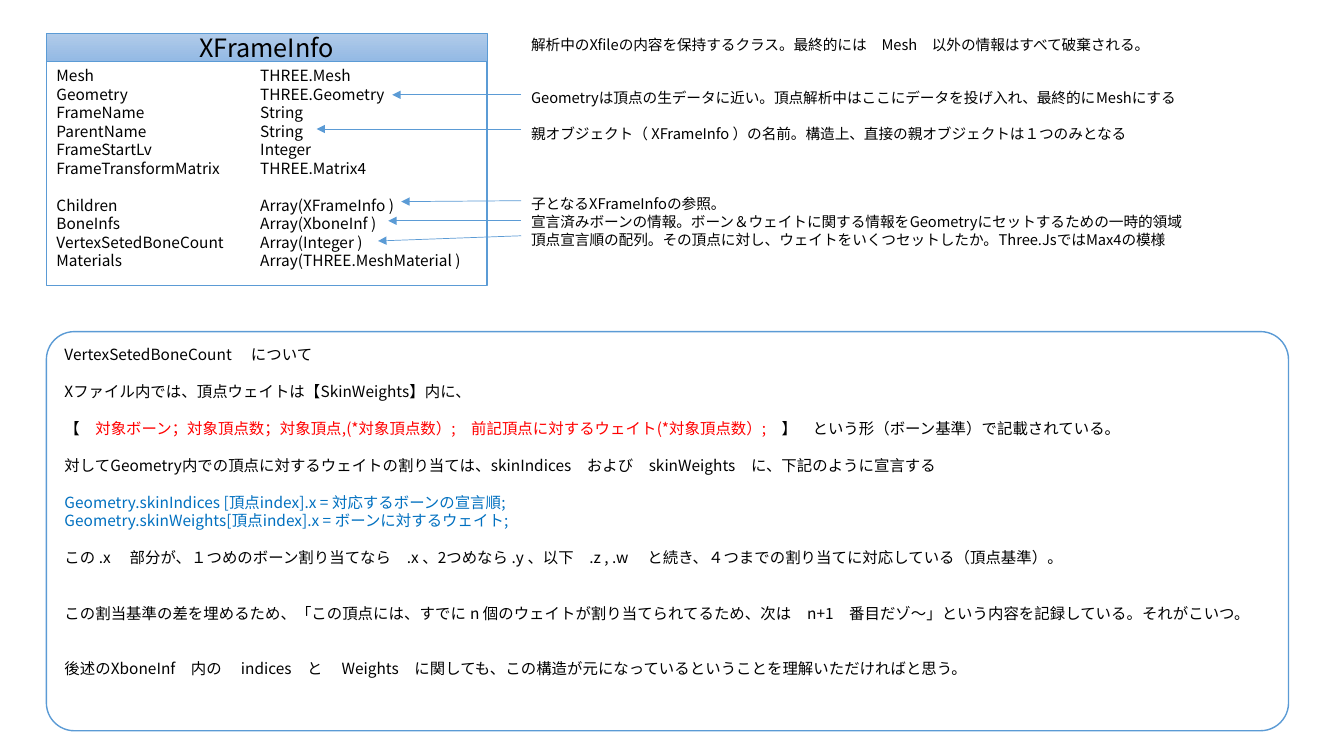
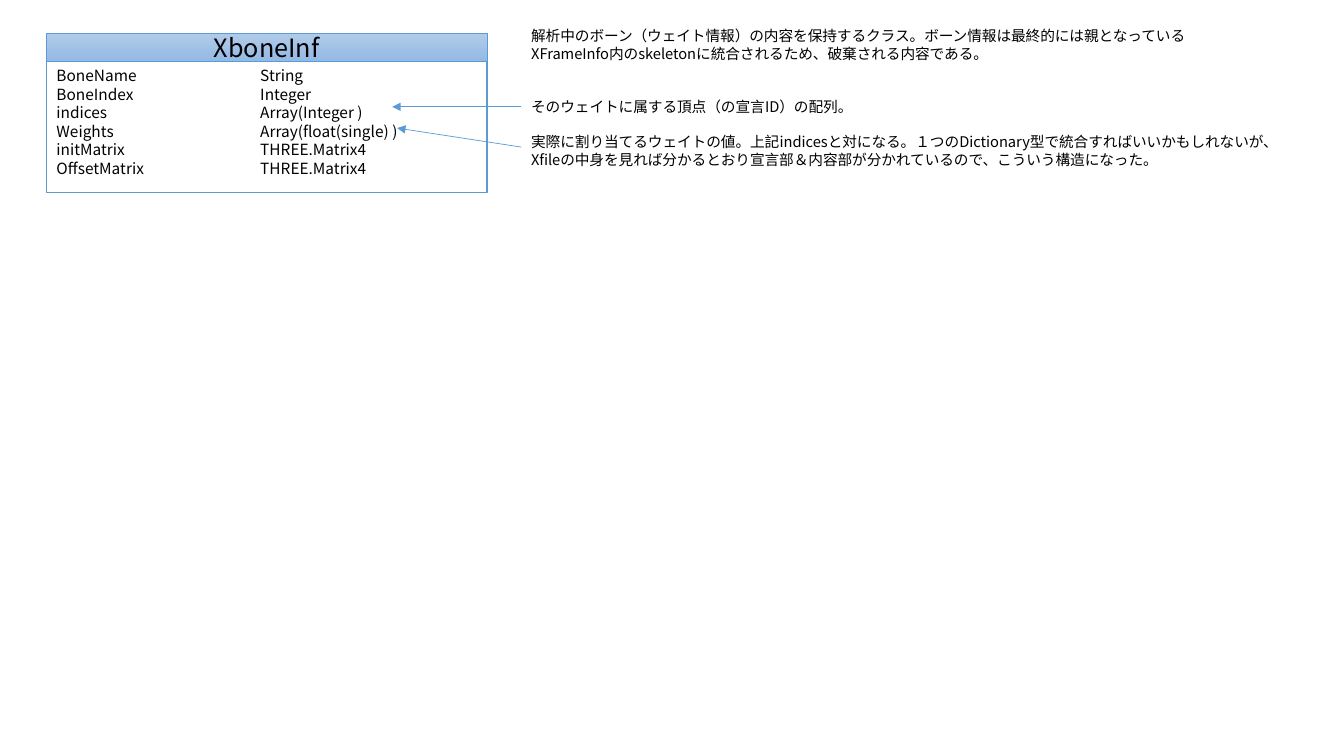
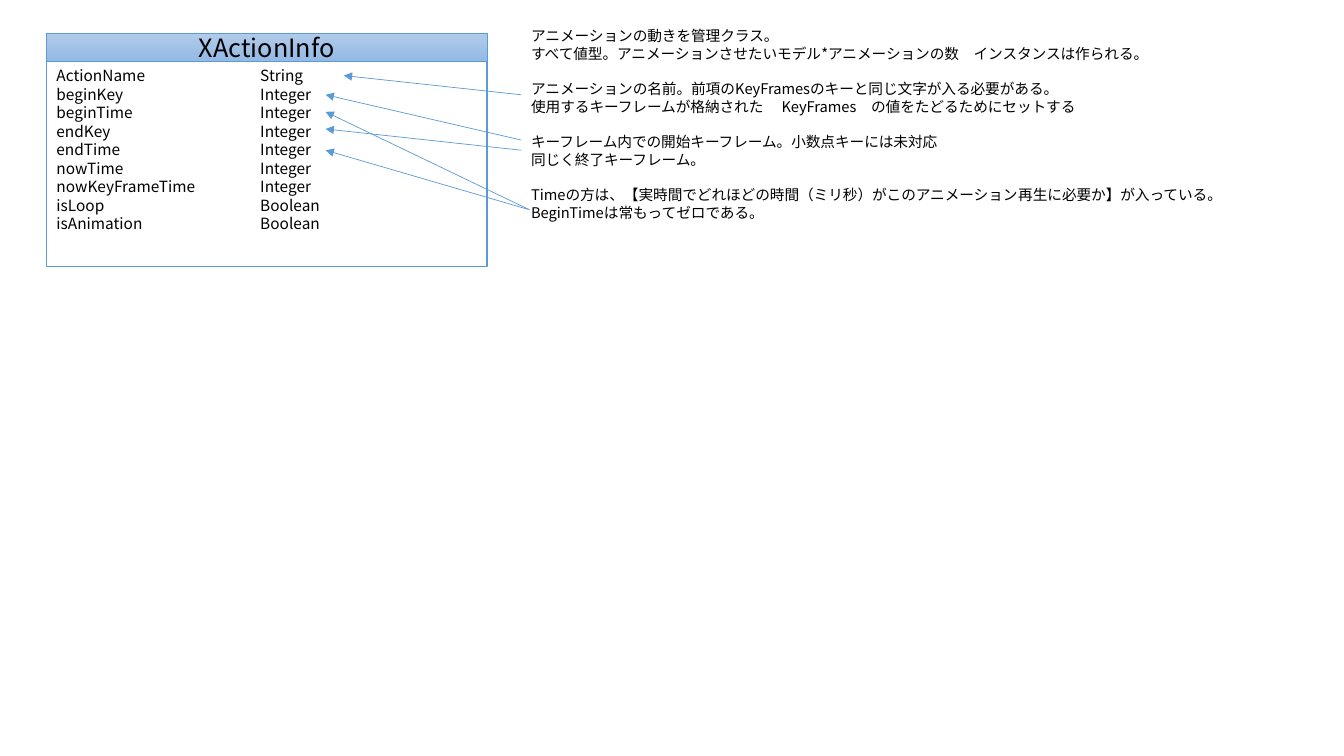
from pptx import Presentation
from pptx.dml.color import RGBColor
from pptx.enum.shapes import MSO_CONNECTOR, MSO_SHAPE
from pptx.enum.text import MSO_ANCHOR, MSO_AUTO_SIZE, PP_ALIGN
from pptx.oxml.ns import qn
from pptx.util import Inches, Pt
from lxml import etree

LEFT, CENTER = PP_ALIGN.LEFT, PP_ALIGN.CENTER
TOP, MIDDLE = MSO_ANCHOR.TOP, MSO_ANCHOR.MIDDLE
NO_AUTOFIT = MSO_AUTO_SIZE.NONE
STRAIGHT = MSO_CONNECTOR.STRAIGHT
ROUNDED = MSO_SHAPE.ROUNDED_RECTANGLE
TWO_CONTENT = 3

COLORS = {
    "text": "000000",
    "paper": "FFFFFF",
    "line": "5B9BD5",
    "band_top": "B1CBE9",
    "band_bottom": "93B9E4",
    "format": "FF0000",
    "code": "0070C0",
}
FONT = "Noto Sans CJK JP"
TITLE_SIZE, LIST_SIZE, NOTE_SIZE = 18, 11, 10.5
LINE_HEIGHT = 1.2

# Grid of the class box, in inches: text rows and 24 columns
BOX_LEFT, BOX_TOP, BOX_WIDTH = 0.46, 0.33, 4.37
BAND_HEIGHT = 0.28
INSET = 0.05
COLUMN = BOX_WIDTH / 24
ROW = LIST_SIZE * LINE_HEIGHT / 72
LIST_TOP = BOX_TOP + BAND_HEIGHT
TYPE_LEFT = BOX_LEFT + 11.1 * COLUMN
NOTE_LEFT, NOTE_WIDTH = 5.17, 8
NOTE_COLUMN = (NOTE_LEFT - BOX_LEFT) / COLUMN


def rgb(name):
    return RGBColor.from_string(COLORS[name])


def place(shape, left, top, width, height):
    shape.left, shape.top = Inches(left), Inches(top)
    shape.width, shape.height = Inches(width), Inches(height)


def outline(shape, width):
    shape.line.color.rgb = rgb("line")
    shape.line.width = Pt(width)


def fill_paper(shape):
    shape.fill.solid()
    shape.fill.fore_color.rgb = rgb("paper")


def write(shape, paragraphs, size, align=LEFT, anchor=TOP):
    """Each paragraph is a text, or (empty lines above, text or runs)."""
    frame = shape.text_frame
    frame.word_wrap = True
    frame.auto_size = NO_AUTOFIT
    frame.vertical_anchor = anchor
    for index, entry in enumerate(paragraphs):
        gap, content = (0, entry) if isinstance(entry, str) else entry
        runs = [(content, "text")] if isinstance(content, str) else content
        paragraph = frame.paragraphs[0] if index == 0 else frame.add_paragraph()
        paragraph.alignment = align
        paragraph.line_spacing = Pt(size * LINE_HEIGHT)
        paragraph.space_before = Pt(gap * size * LINE_HEIGHT)
        paragraph.space_after = Pt(0)
        properties = paragraph._p.get_or_add_pPr()
        properties.set("marL", "0")
        properties.set("indent", "0")
        etree.SubElement(properties, qn("a:buNone"))
        for text, color in runs:
            run = paragraph.add_run()
            run.text = text
            run.font.size = Pt(size)
            run.font.name = FONT
            run.font.color.rgb = rgb(color)
            east_asian = etree.SubElement(run._r.get_or_add_rPr(), qn("a:ea"))
            east_asian.set("typeface", FONT)


def add_class_box(slide, name, fields, rows):
    band, names, types = slide.placeholders
    # Name band
    place(band, BOX_LEFT, BOX_TOP, BOX_WIDTH, BAND_HEIGHT)
    band.fill.gradient()
    band.fill.gradient_angle = 270
    for stop, color in zip(band.fill.gradient_stops, ("band_top", "band_bottom")):
        stop.color.rgb = rgb(color)
    outline(band, 0.5)
    write(band, [name], TITLE_SIZE, CENTER, MIDDLE)
    # Field names and their types
    height = rows * ROW + 0.02
    place(names, BOX_LEFT, LIST_TOP, BOX_WIDTH, height)
    fill_paper(names)
    outline(names, 1)
    place(types, TYPE_LEFT, LIST_TOP, 13.35 * COLUMN, height)
    write(names, [(gap, field) for gap, field, _ in fields], LIST_SIZE)
    write(types, [(gap, kind) for gap, _, kind in fields], LIST_SIZE)


def add_notes(slide, top, height, paragraphs):
    notes = slide.shapes.add_textbox(
        Inches(NOTE_LEFT), Inches(top), Inches(NOTE_WIDTH), Inches(height))
    write(notes, paragraphs, NOTE_SIZE)


def add_arrow(slide, start, end):
    """Start and end are (column, row) in the grid of the class box."""
    points = [Inches(length) for column, row in (start, end)
              for length in (BOX_LEFT + column * COLUMN,
                             LIST_TOP + INSET + row * ROW)]
    arrow = slide.shapes.add_connector(STRAIGHT, *points)
    outline(arrow, 0.5)
    etree.SubElement(arrow.line._get_or_add_ln(), qn("a:tailEnd")).set("type", "triangle")
    etree.SubElement(arrow._element.spPr, qn("a:effectLst"))


def add_panel(slide, left, top, width, height, paragraphs):
    panel = slide.shapes.add_shape(
        ROUNDED, Inches(left), Inches(top), Inches(width), Inches(height))
    panel.adjustments[0] = 0.07
    panel.shadow.inherit = False
    fill_paper(panel)
    outline(panel, 1)
    write(panel, paragraphs, LIST_SIZE)


def add_class_slide(presentation, content):
    slide = presentation.slides.add_slide(presentation.slide_layouts[TWO_CONTENT])
    add_class_box(slide, content["name"], content["fields"], content["rows"])
    add_notes(slide, *content["notes"])
    for start, end in content["arrows"]:
        add_arrow(slide, start, end)
    return slide


# Fields are (empty lines above, name, type)
FRAME_INFO = {
    "name": "XFrameInfo",
    "rows": 12,
    "fields": [
        (0, "Mesh", "THREE.Mesh"),
        (0, "Geometry", "THREE.Geometry"),
        (0, "FrameName", "String"),
        (0, "ParentName", "String"),
        (0, "FrameStartLv", "Integer"),
        (0, "FrameTransformMatrix", "THREE.Matrix4"),
        (1, "Children", "Array(XFrameInfo )"),
        (0, "BoneInfs", "Array(XboneInf )"),
        (0, "VertexSetedBoneCount", "Array(Integer )"),
        (0, "Materials", "Array(THREE.MeshMaterial )"),
    ],
    "notes": (0.31, 2.22, [
        "解析中のXfileの内容を保持するクラス。最終的には　Mesh　以外の情報はすべて破棄される。",
        (2, "Geometryは頂点の生データに近い。頂点解析中はここにデータを投げ入れ、最終的にMeshにする"),
        (1, "親オブジェクト（ XFrameInfo ）の名前。構造上、直接の親オブジェクトは１つのみとなる"),
        (3, "子となるXFrameInfoの参照。"),
        "宣言済みボーンの情報。ボーン＆ウェイトに関する情報をGeometryにセットするための一時的領域",
        "頂点宣言順の配列。その頂点に対し、ウェイトをいくつセットしたか。Three.JsではMax4の模様",
    ]),
    "arrows": [
        ((NOTE_COLUMN, 1.53), (18.84, 1.53)),
        ((NOTE_COLUMN, 3.38), (14.72, 3.38)),
        ((NOTE_COLUMN, 7.26), (19.33, 7.31)),
        ((NOTE_COLUMN, 8.35), (18.62, 8.35)),
        ((NOTE_COLUMN, 9.16), (18.07, 9.44)),
    ],
}

BONE_COUNT = [
    "VertexSetedBoneCount 　について",
    (1, "Xファイル内では、頂点ウェイトは【SkinWeights】内に、"),
    (1, [
        ("【　", "text"),
        ("対象ボーン；対象頂点数；対象頂点,(*対象頂点数）;　前記頂点に対するウェイト(*対象頂点数）;　", "format"),
        ("】　という形（ボーン基準）で記載されている。", "text"),
    ]),
    (1, "対してGeometry内での頂点に対するウェイトの割り当ては、skinIndices　および　skinWeights　に、下記のように宣言する"),
    (1, [("Geometry.skinIndices [頂点index].x = 対応するボーンの宣言順;", "code")]),
    (0, [("Geometry.skinWeights[頂点index].x = ボーンに対するウェイト;", "code")]),
    (1, "この .x 　部分が、１つめのボーン割り当てなら　.x 、2つめなら .y 、以下　.z , .w 　と続き、４つまでの割り当てに対応している（頂点基準）。"),
    (2, "この割当基準の差を埋めるため、「この頂点には、すでに n 個のウェイトが割り当てられてるため、次は　n+1　番目だゾ～」という内容を記録している。それがこいつ。"),
    (2, "後述のXboneInf　内の　 indices　と　 Weights　に関しても、この構造が元になっているということを理解いただければと思う。"),
]

BONE_INF = {
    "name": "XboneInf",
    "rows": 7,
    "fields": [
        (0, "BoneName", "String"),
        (0, "BoneIndex", "Integer"),
        (0, "indices", "Array(Integer )"),
        (0, "Weights", "Array(float(single) )"),
        (0, "initMatrix", "THREE.Matrix4"),
        (0, "OffsetMatrix", "THREE.Matrix4"),
    ],
    "notes": (0.22, 1.69, [
        "解析中のボーン（ウェイト情報）の内容を保持するクラス。ボーン情報は最終的には親となっている",
        "XFrameInfo内のskeletonに統合されるため、破棄される内容である。",
        (2, "そのウェイトに属する頂点（の宣言ID）の配列。"),
        (1, "実際に割り当てるウェイトの値。上記indicesと対になる。１つのDictionary型で統合すればいいかもしれないが、"),
        "Xfileの中身を見れば分かるとおり宣言部＆内容部が分かれているので、こういう構造になった。",
    ]),
    "arrows": [
        ((NOTE_COLUMN, 2.18), (18.84, 2.18)),
        ((NOTE_COLUMN, 4.36), (19.11, 3.33)),
    ],
}

ACTION_INFO = {
    "name": "XActionInfo",
    "rows": 11,
    "fields": [
        (0, "ActionName", "String"),
        (0, "beginKey", "Integer"),
        (0, "beginTime", "Integer"),
        (0, "endKey", "Integer"),
        (0, "endTime", "Integer"),
        (0, "nowTime", "Integer"),
        (0, "nowKeyFrameTime", "Integer"),
        (0, "isLoop", "Boolean"),
        (0, "isAnimation", "Boolean"),
    ],
    "notes": (0.22, 2.22, [
        "アニメーションの動きを管理クラス。",
        "すべて値型。アニメーションさせたいモデル*アニメーションの数　インスタンスは作られる。",
        (1, "アニメーションの名前。前項のKeyFramesのキーと同じ文字が入る必要がある。"),
        "使用するキーフレームが格納された　 KeyFrames　の値をたどるためにセットする",
        (1, "キーフレーム内での開始キーフレーム。小数点キーには未対応"),
        "同じく終了キーフレーム。",
        (1, "Timeの方は、【実時間でどれほどの時間（ミリ秒）がこのアニメーション再生に必要か】が入っている。"),
        "BeginTimeは常もってゼロである。",
    ]),
    "arrows": [
        ((NOTE_COLUMN, 1.53), (16.2, 0.49)),
        ((NOTE_COLUMN, 3.98), (15.21, 1.53)),
        ((NOTE_COLUMN, 4.53), (15.21, 3.38)),
        ((26.31, 7.75), (15.21, 2.45)),
        ((26.31, 7.75), (15.21, 4.53)),
    ],
}

presentation = Presentation()
presentation.slide_width, presentation.slide_height = Inches(13.33), Inches(7.5)

frame_slide = add_class_slide(presentation, FRAME_INFO)
add_panel(frame_slide, BOX_LEFT, 3.29, 12.32, 3.96, BONE_COUNT)
add_class_slide(presentation, BONE_INF)
add_class_slide(presentation, ACTION_INFO)

presentation.save("out.pptx")
